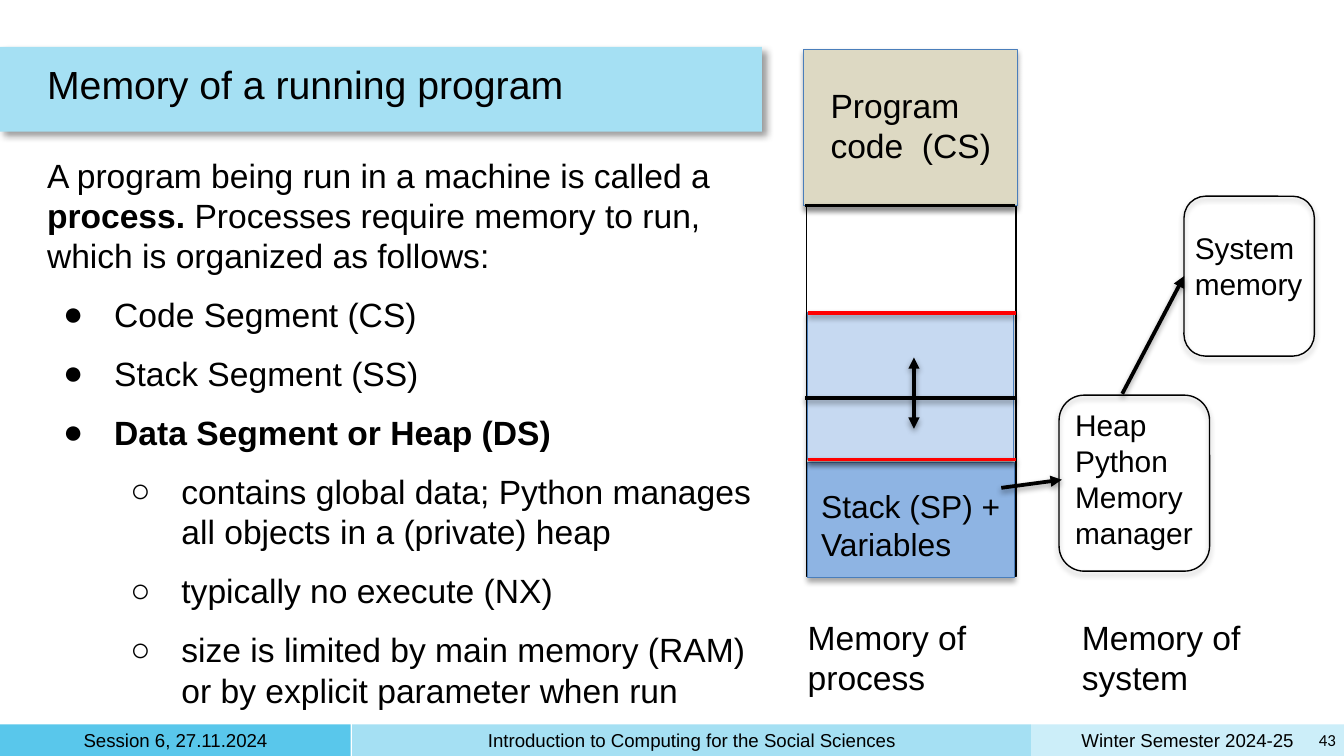
from lxml import etree
from pptx import Presentation
from pptx import util as u
from pptx.dml.color import RGBColor
from pptx.enum import shapes, text
from pptx.oxml import ns

BLACK, RED = "000000", "FF0000"
PALE, SKY, BRIGHT = "CCEEF9", "A5E0F3", "59C7EB"
SHAPE_SHADOW = (35, 3, 1.8, 90)
LINE_SHADOW = (38, 3, 1.6, 90)
TITLE_SHADOW = (40, 4, 3, 45)


def color(value):
    return RGBColor.from_string(value)


def sub(parent, tag, **attrs):
    return etree.SubElement(parent, ns.qn(tag), {k: str(v) for k, v in attrs.items()})


def set_shadow(sp, alpha, blur, dist, angle):
    spPr = sp._element.spPr
    effects = spPr.find(ns.qn("a:effectLst"))
    if effects is None:
        effects = sub(spPr, "a:effectLst")
    outer = sub(effects, "a:outerShdw", blurRad=u.Pt(blur), dist=u.Pt(dist),
                dir=angle * 60000, algn="ctr", rotWithShape=0)
    clr = sub(outer, "a:srgbClr", val=BLACK)
    sub(clr, "a:alpha", val=alpha * 1000)


def add_box(s, box, fill=None, line=None, shadow=None, rounded=False):
    kind = shapes.MSO_SHAPE.ROUNDED_RECTANGLE if rounded else shapes.MSO_SHAPE.RECTANGLE
    sp = s.shapes.add_shape(kind, *map(u.Inches, box))
    sp.shadow.inherit = False
    if fill:
        sp.fill.solid()
        sp.fill.fore_color.rgb = color(fill)
    else:
        sp.fill.background()
    if line:
        sp.line.color.rgb = color(line)
        sp.line.width = u.Pt(0.75)
    else:
        sp.line.fill.background()
    if shadow:
        set_shadow(sp, *shadow)
    return sp


def set_frame(sp, anchor):
    tf = sp.text_frame
    tf.word_wrap = True
    tf.auto_size = text.MSO_AUTO_SIZE.NONE
    tf.vertical_anchor = anchor
    tf.margin_left = tf.margin_right = tf.margin_top = tf.margin_bottom = u.Inches(0.05)
    return tf


def set_font(p, size, name="Arial", bold=None):
    p.font.size = u.Pt(size)
    p.font.name = name
    p.font.color.rgb = color(BLACK)
    p.font.bold = bold


def add_text(s, box, lines, size, align=text.PP_ALIGN.LEFT,
             anchor=text.MSO_ANCHOR.TOP, font="Arial"):
    tf = set_frame(s.shapes.add_textbox(*map(u.Inches, box)), anchor)
    for i, line in enumerate(lines):
        p = tf.add_paragraph() if i else tf.paragraphs[0]
        p.text = line
        p.alignment = align
        set_font(p, size, font)


def add_line(s, x1, y1, x2, y2, stroke=BLACK, head=False, tail=False, target=None):
    c = s.shapes.add_connector(shapes.MSO_CONNECTOR.STRAIGHT,
                               *map(u.Inches, (x1, y1, x2, y2)))
    if target:
        c.end_connect(target, 1)
    c.line.color.rgb = color(stroke)
    c.line.width = u.Pt(2)
    ln = c.line._get_or_add_ln()
    if head:
        sub(ln, "a:headEnd", type="triangle")
    if tail:
        sub(ln, "a:tailEnd", type="triangle")
    set_shadow(c, *LINE_SHADOW)


def add_bullet(tf, line, level=0, bold=None):
    p = tf.add_paragraph()
    p.text = line
    p.level = level
    p.space_before = u.Pt(10)
    pPr = p._p.get_or_add_pPr()
    pPr.set("marL", str(u.Inches(0.5 * (level + 1))))
    pPr.set("indent", str(u.Inches(-0.38)))
    sub(sub(pPr, "a:buClr"), "a:srgbClr", val=BLACK)
    sub(pPr, "a:buFont", typeface="Arial")
    sub(pPr, "a:buChar", char="●○"[level])
    set_font(p, 18, bold=bold)


def add_footer(s):
    for x, width, fill, label in (
            (7.67, 2.33, PALE, "Winter Semester 2024-25"),
            (0, 2.61, BRIGHT, "Session 6, 27.11.2024"),
            (2.62, 5.05, SKY, "Introduction to Computing for the Social Sciences")):
        add_box(s, (x, 5.39, width, 0.24), fill)
        add_text(s, (x + 0.05, 5.41, width - 0.1, 0.19), [label], 10,
                 text.PP_ALIGN.CENTER, text.MSO_ANCHOR.MIDDLE)
    add_text(s, (9.75, 5.38, 0.24, 0.25), ["43"], 9, text.PP_ALIGN.RIGHT,
             text.MSO_ANCHOR.MIDDLE, "Calibri")


def add_body(s):
    sp = s.shapes.add_textbox(*map(u.Inches, (0.3, 1.1, 5.45, 4.28)))
    tf = set_frame(sp, text.MSO_ANCHOR.TOP)
    p = tf.paragraphs[0]
    set_font(p, 18)
    for part, bold in (
            ("A program being run in a machine is called a ", None),
            ("process. ", True),
            ("Processes require memory to run, which is organized as follows:", None)):
        r = p.add_run()
        r.text = part
        r.font.bold = bold
    add_bullet(tf, "Code Segment (CS)")
    add_bullet(tf, "Stack Segment (SS)")
    add_bullet(tf, "Data Segment or Heap (DS)", bold=True)
    for line in ("contains global data; Python manages all objects in a (private) heap",
                 "typically no execute (NX)",
                 "size is limited by main memory (RAM) or by explicit parameter when run"):
        add_bullet(tf, line, level=1)


def add_process_memory(s):
    add_box(s, (6, 0.37, 1.56, 3.92), line=BLACK)
    for box, fill in (((6.01, 3.44, 1.54, 0.86), "8EB4E3"),
                      ((5.98, 0.37, 1.59, 1.16), "DDD9C3"),
                      ((6.01, 2.33, 1.53, 1.09), "C6D9F1")):
        add_box(s, box, fill, "4A7EBB", SHAPE_SHADOW)
    add_text(s, (5.96, 4.54, 1.56, 0.71), ["Memory of process"], 18)
    add_text(s, (6.13, 0.58, 1.44, 0.71), ["Program code  (CS)"], 18)
    add_text(s, (6.06, 3.57, 1.44, 0.67), ["Stack (SP) +", "Variables"], 17)
    for y in (1.53, 2.96):
        add_line(s, 5.99, y, 7.55, y)
    for y in (3.42, 2.33):
        add_line(s, 6.01, y, 7.56, y, RED)
    add_line(s, 6.8, 2.66, 6.8, 3.19, head=True, tail=True)


def add_system_memory(s):
    add_box(s, (7.88, 2.94, 1.12, 1.31), None, BLACK, SHAPE_SHADOW, True)
    add_text(s, (7.95, 2.98, 1.05, 1.18), ["Heap", "Python", "Memory", "manager"], 16)
    add_line(s, 7.45, 3.63, 7.9, 3.57, tail=True)
    add_text(s, (8, 4.54, 1.41, 0.71), ["Memory of system"], 18)
    system = add_box(s, (8.81, 1.46, 0.97, 1.19), None, BLACK, SHAPE_SHADOW, True)
    add_text(s, (8.84, 1.66, 0.91, 0.64), ["System", "memory"], 16)
    add_line(s, 8.35, 2.93, 8.81, 2.06, tail=True, target=system)


def add_title(s):
    add_box(s, (0, 0.35, 5.67, 0.63), SKY, shadow=TITLE_SHADOW)
    title = s.shapes.title
    title._element.getparent().append(title._element)
    title.left, title.top, title.width, title.height = map(u.Inches, (0.3, 0.35, 8.7, 0.63))
    tf = set_frame(title, text.MSO_ANCHOR.MIDDLE)
    p = tf.paragraphs[0]
    p.text = "Memory of a running program"
    p.alignment = text.PP_ALIGN.LEFT
    p.line_spacing = 0.7
    set_font(p, 21)


def main():
    prs = Presentation()
    prs.slide_width = u.Inches(10)
    prs.slide_height = u.Inches(10 * 9 / 16)
    s = prs.slides.add_slide(prs.slide_layouts[5])
    add_footer(s)
    add_body(s)
    add_process_memory(s)
    add_system_memory(s)
    add_title(s)
    prs.save("out.pptx")


if __name__ == "__main__":
    main()
